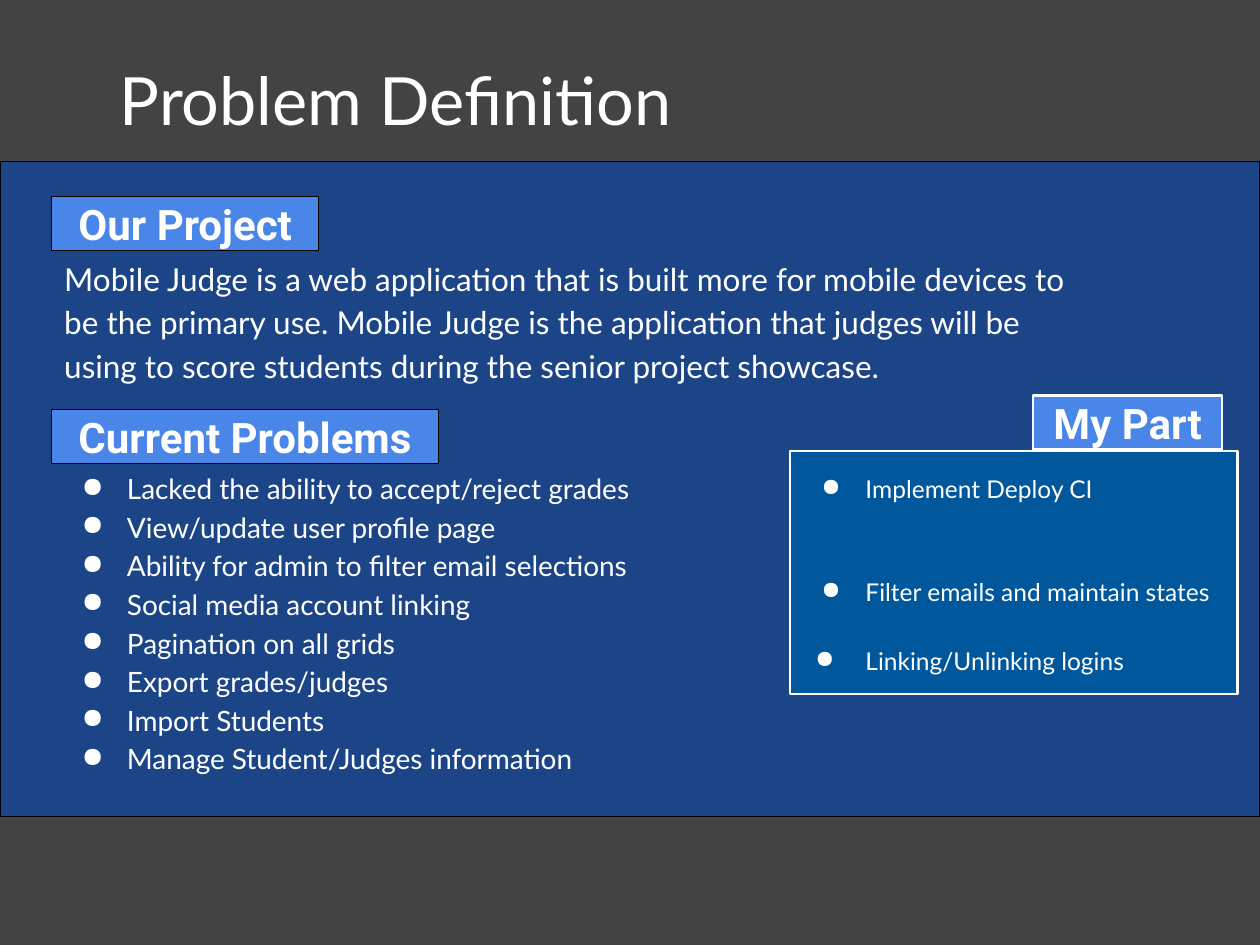
from dataclasses import dataclass

from lxml.etree import SubElement
from pptx import Presentation
from pptx.dml.color import RGBColor
from pptx.enum.shapes import MSO_SHAPE
from pptx.enum.text import MSO_ANCHOR as Anchor, MSO_AUTO_SIZE as AutoSize, PP_ALIGN as Align
from pptx.oxml.ns import qn
from pptx.util import Inches, Pt


@dataclass(frozen=True)
class Theme:
    background: str = "434343"
    panel: str = "1C4587"
    label: str = "4A86E8"
    card: str = "01579B"
    text: str = "FFFFFF"
    outline: str = "000000"
    body_font: str = "Lato"
    label_font: str = "Roboto"
    title_size: int = 38
    label_size: int = 24
    intro_size: int = 18
    problem_size: int = 16
    part_size: int = 14
    line_spacing: float = 1.15


THEME = Theme()

INTRO = (
    "Mobile Judge is a web application that is built more for mobile devices to be "
    "the primary use. Mobile Judge is the application that judges will be using to "
    "score students during the senior project showcase."
)
PROBLEMS = [
    "Lacked the ability to accept/reject grades",
    "View/update user profile page",
    "Ability for admin to filter email selections",
    "Social media account linking",
    "Pagination on all grids",
    "Export grades/judges",
    "Import Students",
    "Manage Student/Judges information",
]
# Text, hanging indent in inches, space before in points
MY_PARTS = [
    ("Implement Deploy CI", 0.35, 0),
    ("Filter emails and maintain states", 0.35, 39.3),
    ("Linking/Unlinking logins", 0.4, 20),
]


def rgb(value):
    return RGBColor.from_string(value)


def place(shape, left, top, width, height):
    shape.left, shape.top = Inches(left), Inches(top)
    shape.width, shape.height = Inches(width), Inches(height)


def style_frame(frame, anchor, vertical_inset=0.1):
    frame.word_wrap = True
    frame.auto_size = AutoSize.NONE
    frame.vertical_anchor = anchor
    frame.margin_left = frame.margin_right = Inches(0.1)
    frame.margin_top = frame.margin_bottom = Inches(vertical_inset)


def style_paragraph(paragraph, size, font=THEME.body_font, bold=False,
                    align=Align.LEFT, spacing=THEME.line_spacing, before=0):
    paragraph.alignment = align
    paragraph.line_spacing = spacing
    paragraph.space_before = Pt(before)
    for run in paragraph.runs:
        run.font.name = font
        run.font.size = Pt(size)
        run.font.bold = bold
        run.font.color.rgb = rgb(THEME.text)


def set_bullet(paragraph, hanging):
    properties = paragraph._p.get_or_add_pPr()
    properties.set("marL", str(Inches(0.5)))
    properties.set("indent", str(-Inches(hanging)))
    colour = SubElement(properties, qn("a:buClr"))
    SubElement(colour, qn("a:srgbClr"), val=THEME.text)
    SubElement(properties, qn("a:buChar"), char="●")


def fill_list(frame, items, size):
    style_frame(frame, Anchor.MIDDLE)
    frame.text = "\n".join(text for text, _, _ in items)
    for paragraph, (_, hanging, before) in zip(frame.paragraphs, items):
        style_paragraph(paragraph, size, before=before)
        set_bullet(paragraph, hanging)


def add_box(slide, bounds, fill, line=THEME.outline, line_width=0.75):
    box = slide.shapes.add_shape(MSO_SHAPE.RECTANGLE, *map(Inches, bounds))
    box.shadow.inherit = False
    box.fill.solid()
    box.fill.fore_color.rgb = rgb(fill)
    box.line.color.rgb = rgb(line)
    box.line.width = Pt(line_width)
    return box


def add_label(slide, text, left, top, width, **outline):
    label = add_box(slide, (left, top, width, 0.43), THEME.label, **outline)
    style_frame(label.text_frame, Anchor.MIDDLE)
    label.text_frame.text = text
    style_paragraph(label.text_frame.paragraphs[0], THEME.label_size, THEME.label_font,
                    bold=True, align=Align.CENTER, spacing=1.0)


def add_panel(slide):
    panel = add_box(slide, (0, 1.28, 10, 5.2), THEME.panel)
    # Send behind the placeholders
    slide.shapes._spTree.insert(2, panel._element)


def set_title(slide, text):
    title = slide.shapes.title
    place(title, 0.85, 0.42, 8.29, 1.14)
    style_frame(title.text_frame, Anchor.TOP, 0.05)
    title.text_frame.text = text
    style_paragraph(title.text_frame.paragraphs[0], THEME.title_size, spacing=1.0)


def set_intro(slide, text):
    intro = slide.placeholders[1]
    place(intro, 0.41, 1.83, 8.29, 1.41)
    style_frame(intro.text_frame, Anchor.MIDDLE, 0.05)
    intro.text_frame.text = text
    paragraph = intro.text_frame.paragraphs[0]
    style_paragraph(paragraph, THEME.intro_size)
    # Plain paragraph: drop the template's bullet and indent
    properties = paragraph._p.get_or_add_pPr()
    properties.set("marL", "0")
    properties.set("indent", "0")
    SubElement(properties, qn("a:buNone"))


def main():
    deck = Presentation()
    deck.slide_width, deck.slide_height = Inches(10), Inches(7.5)
    slide = deck.slides.add_slide(deck.slide_layouts[1])
    slide.background.fill.solid()
    slide.background.fill.fore_color.rgb = rgb(THEME.background)

    # Title and backdrop
    add_panel(slide)
    set_title(slide, "Problem Definition")

    # Project summary
    set_intro(slide, INTRO)
    add_label(slide, "Our Project", 0.41, 1.56, 2.12)

    # Current problems
    add_label(slide, "Current Problems", 0.41, 3.25, 3.07)
    problems = slide.shapes.add_textbox(*map(Inches, (0.41, 3.58, 5.03, 2.7)))
    fill_list(problems.text_frame, [(text, 0.36, 0) for text in PROBLEMS],
              THEME.problem_size)

    # My part
    white_outline = {"line": THEME.text, "line_width": 1.5}
    card = add_box(slide, (6.27, 3.58, 3.55, 1.93), THEME.card, **white_outline)
    fill_list(card.text_frame, MY_PARTS, THEME.part_size)
    add_label(slide, "My Part", 8.2, 3.14, 1.5, **white_outline)

    deck.save("out.pptx")


if __name__ == "__main__":
    main()
